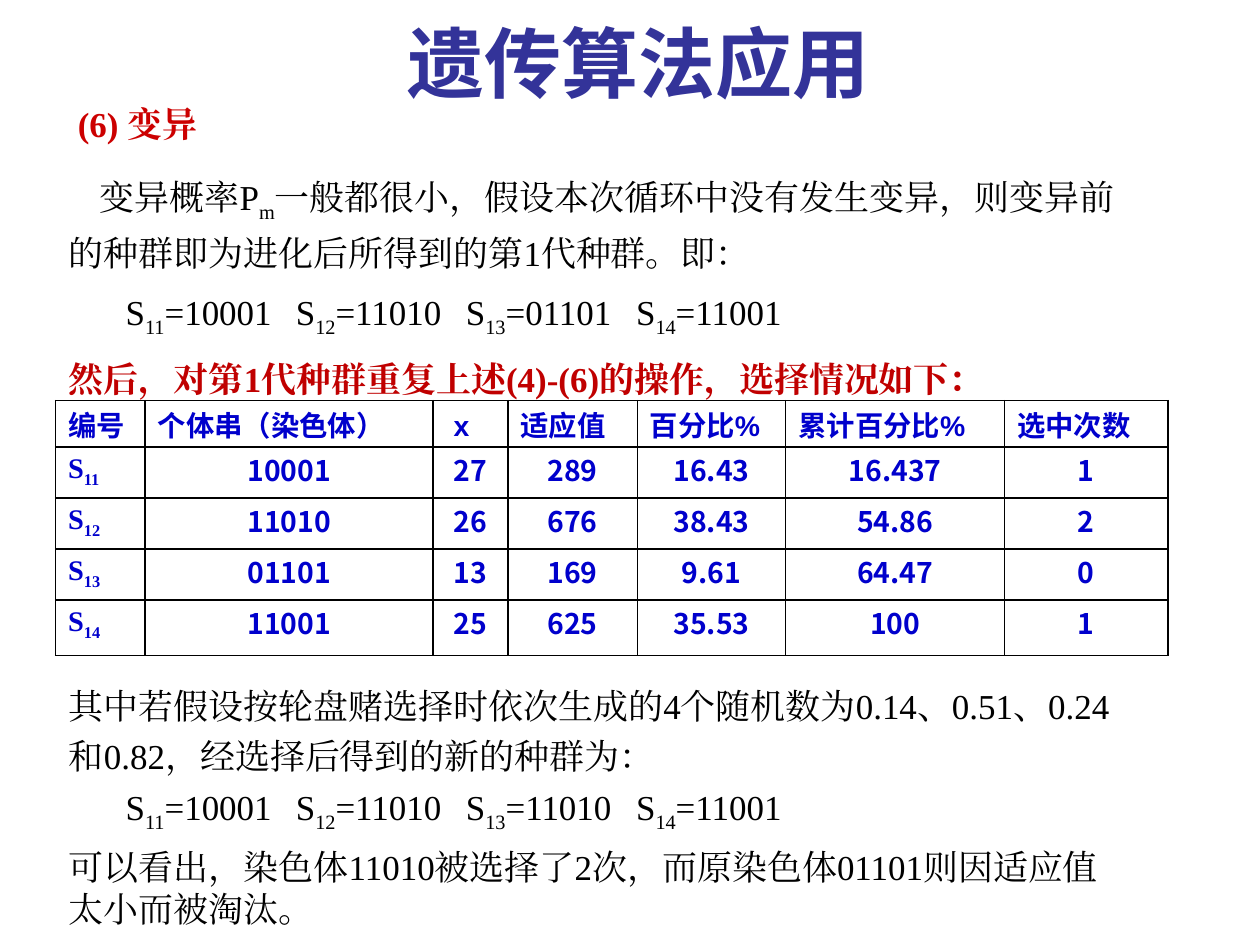
import pptx
import pptx.dml.color
import pptx.enum.text
import pptx.oxml.ns
import pptx.util
from lxml import etree

Pt = pptx.util.Pt
qn = pptx.oxml.ns.qn

# The slide is a grid of 100 columns by 100 rows
WIDTH, HEIGHT = pptx.util.Inches(11.11), pptx.util.Inches(8.33)
COLORS = {"title": "333399", "heading": "CC0000", "emphasis": "C00000",
          "text": "000000", "cell": "0000CC", "border": "000000"}

TITLE = {"name": "Noto Sans CJK JP", "size": Pt(48.9), "bold": True}
BODY = {"name": "Times New Roman", "size": Pt(22.2), "bold": False}
STRONG = {**BODY, "bold": True}
HEADER = {"name": "Arial", "size": Pt(18), "bold": True}
NUMBER = {**HEADER, "name": "Noto Sans CJK SC"}
LABEL = {**HEADER, "name": "Times New Roman"}

SINGLE, WIDE = Pt(26.6), Pt(32)

POPULATION_COLUMNS = [7.11, 22.86, 5.94, 10.26, 11.79, 17.37, 12.96]
POPULATION_ROWS = [4.92, 5.4, 5.4, 5.4, 5.88]
POPULATION = [
    ["编号", "个体串（染色体）", " x", "适应值", "百分比%", "累计百分比%", "选中次数"],
    ["S[11]", "10001", "27", "289", "16.43", "16.437", "1"],
    ["S[12]", "11010", "26", "676", "38.43", "54.86", "2"],
    ["S[13]", "01101", "13", "169", "9.61", "64.47", "0"],
    ["S[14]", "11001", "25", "625", "35.53", "100", "1"],
]


def across(columns):
    return round(WIDTH * columns / 100)


def down(rows):
    return round(HEIGHT * rows / 100)


def write(paragraph, text, font, color, spacing, indent=0, tabs=()):
    """Fill a paragraph; text in square brackets becomes a subscript."""
    for key, value in spacing.items():
        setattr(paragraph, key, value)
    properties = paragraph._p.get_or_add_pPr()
    properties.set("marL", "0")
    properties.set("indent", str(across(indent)))
    if tabs:
        tab_list = etree.SubElement(properties, qn("a:tabLst"))
        for stop in tabs:
            etree.SubElement(tab_list, qn("a:tab"), pos=str(across(stop)), algn="l")
    for index, part in enumerate(text.replace("]", "[").split("[")):
        if not part:
            continue
        run = paragraph.add_run()
        run.text = part
        for key, value in font.items():
            setattr(run.font, key, value)
        run.font.color.rgb = pptx.dml.color.RGBColor.from_string(COLORS[color])
        character = run._r.get_or_add_rPr()
        etree.SubElement(character, qn("a:ea"), typeface=font["name"])
        if index % 2:
            character.set("baseline", "-25000")


def add_text(slide, left, top, width, height, paragraphs):
    frame = slide.shapes.add_textbox(
        across(left), down(top), across(width), down(height)).text_frame
    frame.word_wrap = True
    for index, content in enumerate(paragraphs):
        paragraph = frame.add_paragraph() if index else frame.paragraphs[0]
        write(paragraph, **content)


def generation(strings, space, tabs):
    """One line that lists the four individuals, set on tab stops."""
    text = "".join(f"\tS[1{number}]={string}"
                   for number, string in enumerate(strings, 1))
    return dict(text=text, font=BODY, color="text", tabs=tabs,
                spacing={"line_spacing": SINGLE, "space_before": Pt(space)})


def add_borders(cell):
    properties = cell._tc.get_or_add_tcPr()
    for side in ("lnL", "lnR", "lnT", "lnB"):
        line = etree.SubElement(properties, qn(f"a:{side}"), w=str(Pt(1)))
        fill = etree.SubElement(line, qn("a:solidFill"))
        etree.SubElement(fill, qn("a:srgbClr"), val=COLORS["border"])


def add_population_table(slide, left, top):
    table = slide.shapes.add_table(
        len(POPULATION), len(POPULATION_COLUMNS), across(left), down(top),
        across(sum(POPULATION_COLUMNS)), down(sum(POPULATION_ROWS))).table
    table.first_row = table.horz_banding = False
    for column, width in zip(table.columns, POPULATION_COLUMNS):
        column.width = across(width)
    for row, height in zip(table.rows, POPULATION_ROWS):
        row.height = down(height)
    margins = {"margin_left": across(1), "margin_right": across(1),
               "margin_top": Pt(4.3), "margin_bottom": 0}
    align = pptx.enum.text.PP_ALIGN
    for r, values in enumerate(POPULATION):
        for c, value in enumerate(values):
            cell = table.cell(r, c)
            for key, margin in margins.items():
                setattr(cell, key, margin)
            add_borders(cell)
            cell.fill.background()
            font = HEADER if r == 0 else LABEL if c == 0 else NUMBER
            raised = font is LABEL or value == " x"
            write(cell.text_frame.paragraphs[0], value, font, "cell", {
                "alignment": align.CENTER if font is NUMBER else align.LEFT,
                "line_spacing": Pt(22.5),
                "space_before": Pt(0 if raised else 3)})


def main():
    presentation = pptx.Presentation()
    presentation.slide_width, presentation.slide_height = WIDTH, HEIGHT
    slide = presentation.slides.add_slide(presentation.slide_layouts[6])

    # Mutation step and first generation
    add_text(slide, 4.59, 10.32, 85.06, 31.8, [
        dict(text="(6) 变异", font=STRONG, color="heading", indent=0.7,
             spacing={"line_spacing": SINGLE}),
        dict(text="变异概率P[m]一般都很小，假设本次循环中没有发生变异，"
                  "则变异前的种群即为进化后所得到的第1代种群。即：",
             font=BODY, color="text", indent=2.45,
             spacing={"line_spacing": WIDE, "space_before": Pt(17.8)}),
        generation(["10001", "11010", "01101", "11001"], 14.5,
                   [7.74, 23.49, 39.87, 57.7]),
        dict(text="然后，对第1代种群重复上述(4)-(6)的操作，选择情况如下：",
             font=STRONG, color="emphasis",
             spacing={"line_spacing": SINGLE, "space_before": Pt(11.8)}),
    ])

    # Result of the selection
    add_text(slide, 4.59, 70.95, 85.06, 28, [
        dict(text="其中若假设按轮盘赌选择时依次生成的4个随机数为"
                  "0.14、0.51、0.24和0.82，经选择后得到的新的种群为：",
             font=BODY, color="text", spacing={"line_spacing": WIDE}),
        generation(["10001", "11010", "11010", "11001"], 9.3,
                   [7.65, 24.03, 40.5, 57.5]),
        dict(text="可以看出，染色体11010被选择了2次，"
                  "而原染色体01101则因适应值太小而被淘汰。",
             font=BODY, color="text",
             spacing={"line_spacing": SINGLE, "space_before": Pt(7.5)}),
    ])

    # Title
    add_text(slide, 20.16, 0.12, 61.03, 11.04, [
        dict(text="遗传算法应用", font=TITLE, color="title",
             spacing={"alignment": pptx.enum.text.PP_ALIGN.CENTER,
                      "line_spacing": Pt(64)}),
    ])

    # Population table
    add_population_table(slide, 4.41, 42.38)

    presentation.save("out.pptx")


if __name__ == "__main__":
    main()
